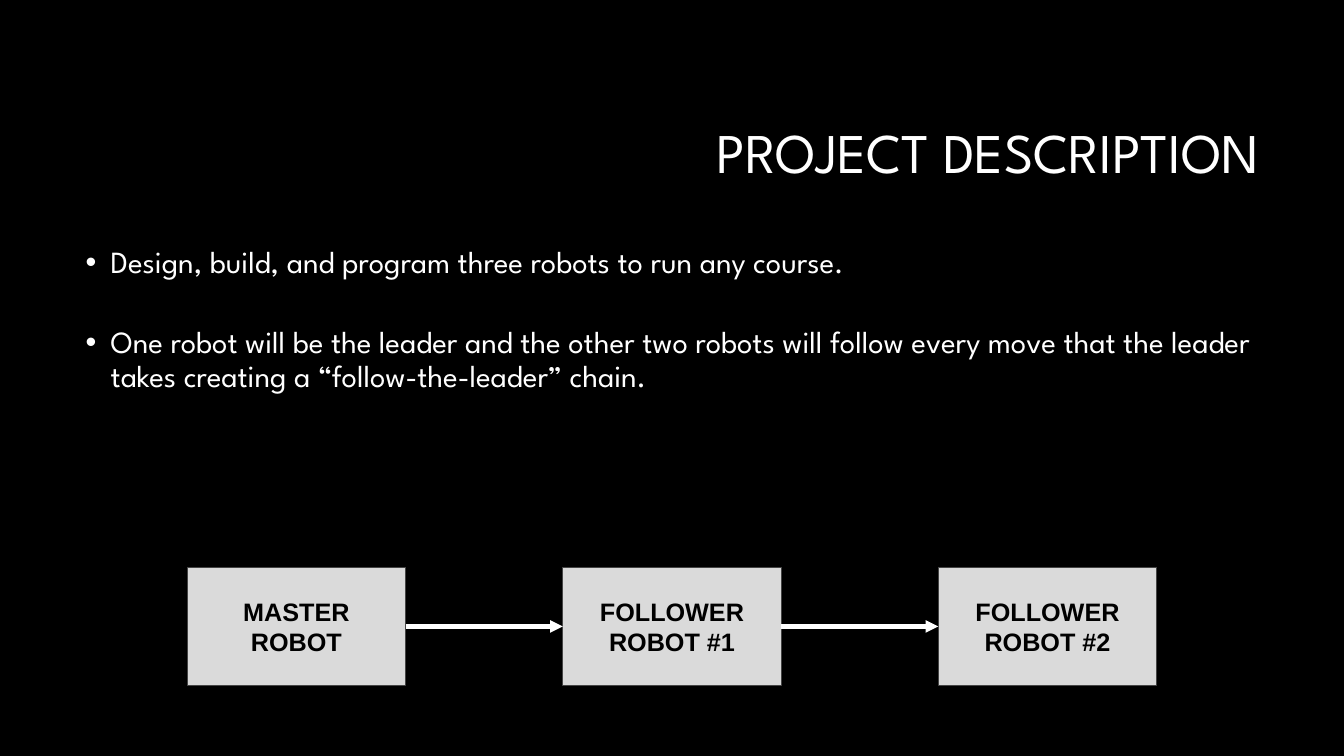
from lxml.etree import SubElement
from pptx import Presentation
from pptx.dml.color import RGBColor
from pptx.enum.shapes import MSO_CONNECTOR, MSO_SHAPE
from pptx.enum.text import MSO_ANCHOR, MSO_AUTO_SIZE, PP_ALIGN
from pptx.oxml.ns import qn
from pptx.util import Pt

TITLE = "PROJECT DESCRIPTION"
GOALS = [
    "Design, build, and program three robots to run any course.",
    "One robot will be the leader and the other two robots will follow every move "
    "that the leader takes creating a “follow-the-leader” chain.",
]
ROBOTS = ["MASTER ROBOT", "FOLLOWER ROBOT #1", "FOLLOWER ROBOT #2"]

BLACK = RGBColor(0x00, 0x00, 0x00)
WHITE = RGBColor(0xFF, 0xFF, 0xFF)
LIGHT_GREY = RGBColor(0xDA, 0xDA, 0xDA)
DARK_GREY = RGBColor(0x45, 0x45, 0x45)

TITLE_FONT = {"name": "League Spartan", "size": Pt(40)}
GOAL_FONT = {"name": "League Spartan", "size": Pt(22)}
ROBOT_FONT = {"name": "Arial", "size": Pt(18), "bold": True}

SLIDE_W, SLIDE_H = Pt(960), Pt(540)
ROBOT_W, ROBOT_H = Pt(156), Pt(84)
ROBOT_TOP, ROBOT_PITCH = Pt(405.5), Pt(268.25)
CHAIN_LEFT = (SLIDE_W - ROBOT_PITCH * (len(ROBOTS) - 1) - ROBOT_W) // 2


def style_font(font, formats, colour):
    for name, value in formats.items():
        setattr(font, name, value)
    font.color.rgb = colour


def add_bullet(paragraph):
    properties = paragraph._p.get_or_add_pPr()
    properties.set("marL", str(Pt(18)))
    properties.set("indent", str(-Pt(18)))
    colour = SubElement(properties, qn("a:buClr"))
    SubElement(colour, qn("a:srgbClr"), val=str(WHITE))
    SubElement(properties, qn("a:buFont"), typeface="Arial")
    SubElement(properties, qn("a:buChar"), char="•")


def add_title(slide):
    title = slide.shapes.title
    title.left, title.top = Pt(228), Pt(60.5)
    title.width, title.height = Pt(678.5), Pt(101.5)
    frame = title.text_frame
    frame.text = TITLE
    frame.auto_size = MSO_AUTO_SIZE.NONE
    frame.vertical_anchor = MSO_ANCHOR.MIDDLE
    heading = frame.paragraphs[0]
    heading.alignment = PP_ALIGN.RIGHT
    heading.line_spacing = 0.9
    style_font(heading.font, TITLE_FONT, WHITE)


def add_goals(slide):
    frame = slide.shapes.add_textbox(Pt(54), Pt(173), Pt(852), Pt(120)).text_frame
    frame.word_wrap = True
    for number, text in enumerate(GOALS):
        goal = frame.add_paragraph() if number else frame.paragraphs[0]
        goal.text = text
        add_bullet(goal)
        goal.line_spacing = 0.9
        if number:
            goal.space_before = Pt(33.5)
        style_font(goal.font, GOAL_FONT, WHITE)


def add_robot(slide, label, left):
    robot = slide.shapes.add_shape(MSO_SHAPE.RECTANGLE, left, ROBOT_TOP, ROBOT_W, ROBOT_H)
    robot.shadow.inherit = False
    robot.fill.solid()
    robot.fill.fore_color.rgb = LIGHT_GREY
    robot.line.color.rgb = DARK_GREY
    robot.line.width = Pt(0.75)
    frame = robot.text_frame
    frame.word_wrap = True
    frame.vertical_anchor = MSO_ANCHOR.MIDDLE
    frame.text = label
    frame.paragraphs[0].alignment = PP_ALIGN.CENTER
    style_font(frame.paragraphs[0].font, ROBOT_FONT, BLACK)
    return robot


def add_arrow(slide, leader, follower):
    arrow = slide.shapes.add_connector(MSO_CONNECTOR.STRAIGHT, 0, 0, 0, 0)
    arrow.begin_connect(leader, 3)
    arrow.end_connect(follower, 1)
    arrow.line.color.rgb = WHITE
    arrow.line.width = Pt(3)
    SubElement(arrow.line._get_or_add_ln(), qn("a:tailEnd"), type="triangle")
    SubElement(arrow._element.spPr, qn("a:effectLst"))


def main():
    deck = Presentation()
    deck.slide_width, deck.slide_height = SLIDE_W, SLIDE_H
    slide = deck.slides.add_slide(deck.slide_layouts[5])
    slide.background.fill.solid()
    slide.background.fill.fore_color.rgb = BLACK
    add_title(slide)
    add_goals(slide)
    robots = [
        add_robot(slide, label, CHAIN_LEFT + place * ROBOT_PITCH)
        for place, label in enumerate(ROBOTS)
    ]
    for leader, follower in zip(robots, robots[1:]):
        add_arrow(slide, leader, follower)
    deck.save("out.pptx")


if __name__ == "__main__":
    main()
